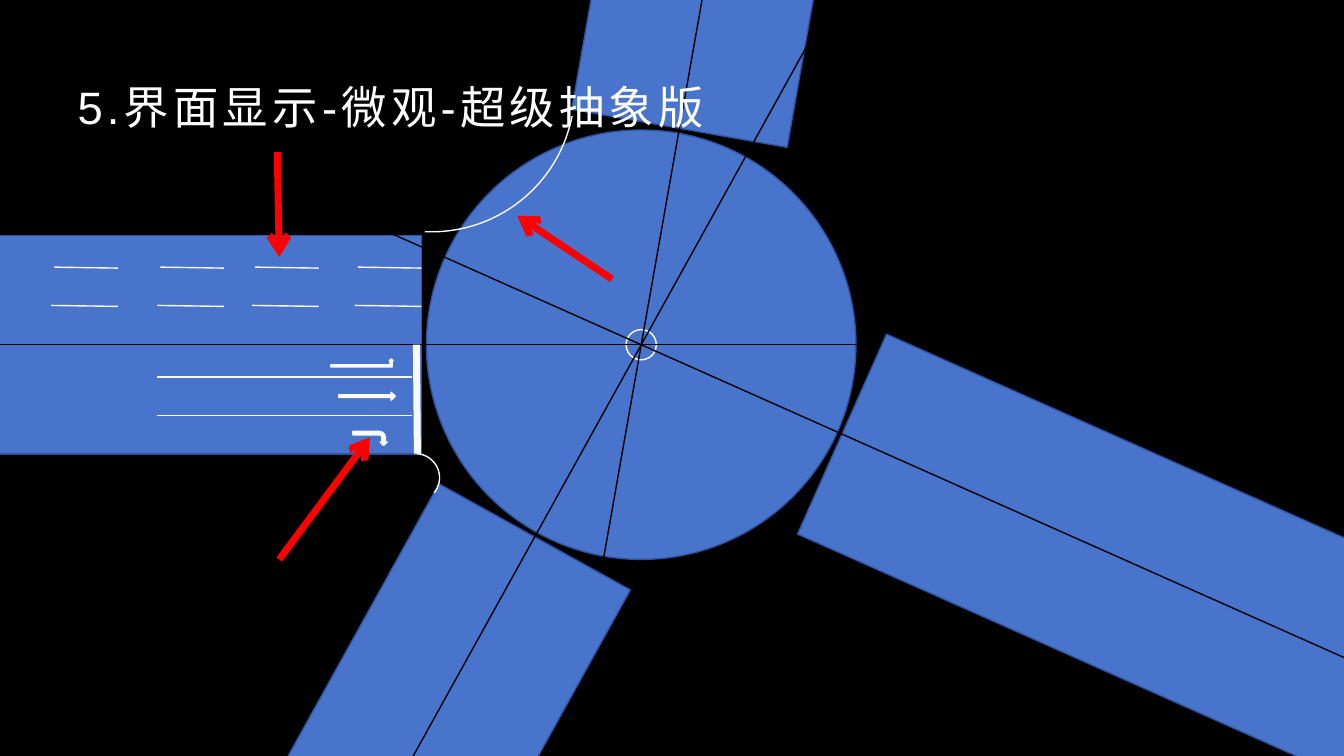
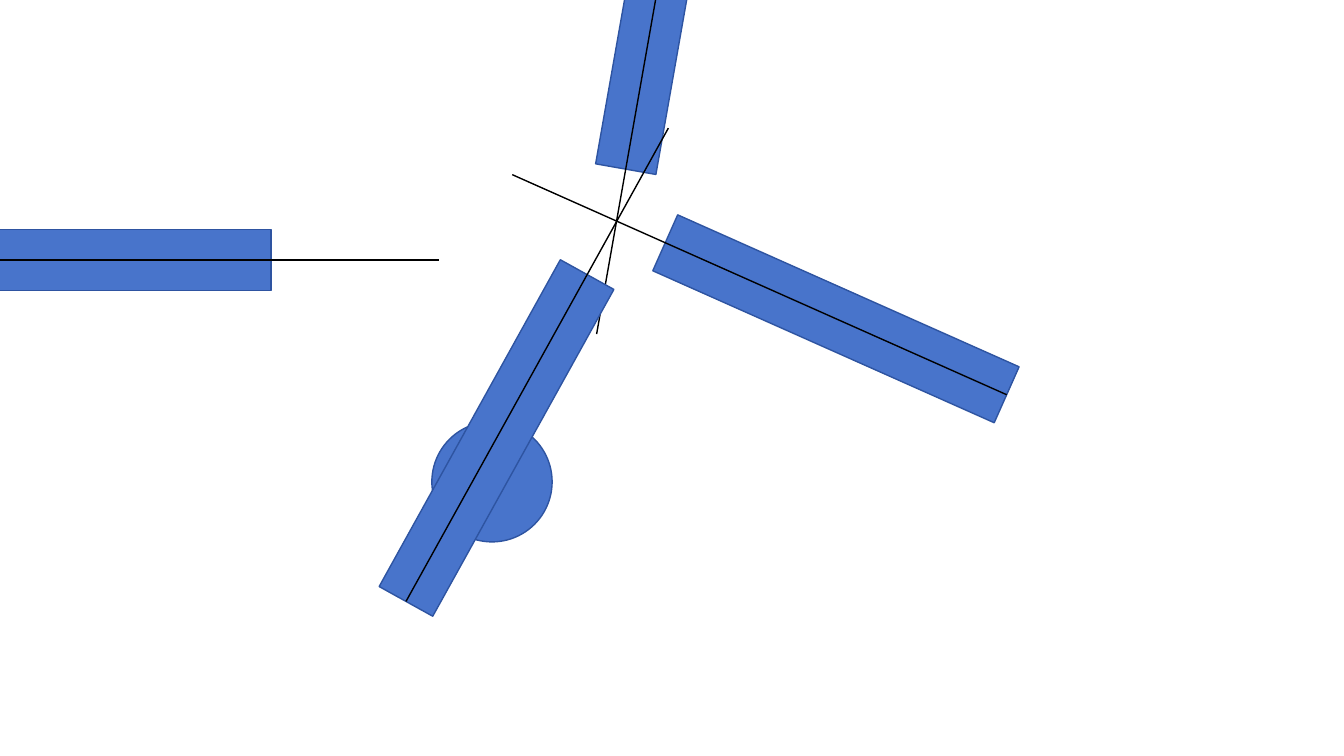
from itertools import product
from math import cos, radians, sin

from pptx import Presentation, util as u
from pptx.dml.color import RGBColor
from pptx.enum import shapes as es, text as et
from pptx.oxml import parse_xml
from pptx.oxml.ns import nsdecls

BLUE, EDGE, BLACK, WHITE = "4874CB", "2E54A1", "000000", "FFFFFF"
PAINT, RED = "FAFAFA", "FF0000"
KIND = es.MSO_SHAPE
hue = RGBColor.from_string


def shape(home, kind, box, edge, fill=None, rot=0, adj=()):
    """Add a preset shape; box is left, top, width, height in inches."""
    item = home.add_shape(kind, *map(u.Inches, box))
    item.shadow.inherit = False
    item.rotation = rot
    for i, value in enumerate(adj):
        item.adjustments[i] = value
    if fill:
        item.fill.solid()
        item.fill.fore_color.rgb = hue(fill)
    else:
        item.fill.background()
    item.line.color.rgb = hue(edge)
    item.line.width = u.Pt(1)
    return item


def line(home, start, end, color=PAINT, width=1, head=False, joint=None):
    """Add a straight line; joint is a rectangle whose left side it starts from."""
    x, y = map(u.Inches, start)
    item = home.add_connector(es.MSO_CONNECTOR.STRAIGHT, x, y, *map(u.Inches, end))
    if joint is not None:
        item.begin_connect(joint, 1)
        # A turned rectangle has its side elsewhere than its frame says.
        item.begin_x, item.begin_y = x, y
    item.line.color.rgb = hue(color)
    item.line.width = u.Pt(width)
    if head:
        tip = parse_xml(f'<a:tailEnd type="arrow" {nsdecls("a")}/>')
        item.line._get_or_add_ln().append(tip)
    item._element.spPr.append(parse_xml(f'<a:effectLst {nsdecls("a")}/>'))


deck = Presentation()
deck.slide_width, deck.slide_height = u.Inches(13.33), u.Inches(7.5)

# Crossing at full scale: a disc with roads at set angles around a hub
ANGLES = 0, 100, 204, 299
DISC, RING = 2.13, 0.15
LONG, WIDE, REACH, PAST = 13.24, 2.17, 8.8, 3.75

mid = (6.36, 3.42)
plans = [
    (5, BLACK, 1, mid, [mid] * 4),
    (6, WHITE, 0.28, (4.88, 4.78), [(3.3, 2.58), (6.1, 2.28), (6.04, 2.16), (6.12, 2.19)]),
]
for layout, back, scale, (cx, cy), hubs in plans:
    slide = deck.slides.add_slide(deck.slide_layouts[layout])
    slide.background.fill.solid()
    slide.background.fill.fore_color.rgb = hue(back)

    group = slide.shapes.add_group_shape().shapes
    for size, edge in (DISC, EDGE), (RING, WHITE):
        r = size * scale
        shape(group, KIND.OVAL, (cx - r, cy - r, 2 * r, 2 * r), edge, BLUE)

    for (hx, hy), angle in zip(hubs, ANGLES):
        if scale < 1:
            group = slide.shapes.add_group_shape().shapes
        dx, dy = scale * cos(radians(angle)), scale * sin(radians(angle))
        w, h = LONG * scale, WIDE * scale
        box = (hx - REACH * dx - w / 2, hy - REACH * dy - h / 2, w, h)
        road = shape(group, KIND.RECTANGLE, box, EDGE, BLUE, angle)
        far = REACH + LONG / 2
        line(group, (hx - far * dx, hy - far * dy),
             (hx + PAST * dx, hy + PAST * dy), BLACK, joint=road)

# Title and road markings of the first slide
slide = deck.slides[0]
home = slide.shapes

for y in (3.74, 4.12):
    line(home, (1.56, y), (4.09, y))
line(home, (4.13, 3.42), (4.14, 4.5), width=5)

shape(home, KIND.BENT_ARROW, (3.6, 4.18, 0.14, 0.34), PAINT, WHITE, 90)
shape(home, KIND.BENT_UP_ARROW, (3.28, 3.56, 0.62, 0.08), PAINT, PAINT)
shape(home, KIND.RIGHT_ARROW, (3.36, 3.89, 0.56, 0.08), PAINT, PAINT, adj=(0.31, 0.5))
shape(home, KIND.ARC, (2.86, -0.54, 2.84, 2.84), PAINT, rot=101, adj=(162, 210.99))
shape(home, KIND.ARC, (3.88, 4.5, 0.48, 0.48), PAINT, rot=12, adj=(156.77, 16.08))

title = home.title
title.left, title.top, title.width, title.height = map(u.Inches, (0.67, 0.67, 6.94, 0.77))
frame = title.text_frame
frame.text = "5.界面显示-微观-超级抽象版"
frame.word_wrap = True
frame.auto_size = et.MSO_AUTO_SIZE.NONE
frame.vertical_anchor = et.MSO_ANCHOR.MIDDLE
para = frame.paragraphs[0]
para.alignment = et.PP_ALIGN.LEFT
font = para.runs[0].font
font.name, font.size = "Arial", u.Pt(32.4)
font.color.rgb = hue(WHITE)
font._element.set("spc", "300")
title._element.getparent().append(title._element)  # above the roads

for x, (y, shift) in product((3.55, 2.53, 1.59, 0.54), ((2.65, 0), (3.03, 0.03))):
    line(home, (x - shift, y), (x + 0.63, y + 0.01))

for start, end in [((2.77, 5.55), (3.67, 4.34)),
                   ((6.07, 2.77), (5.13, 2.14)),
                   ((2.75, 1.51), (2.77, 2.55))]:
    line(home, start, end, RED, 5, head=True)

deck.save("out.pptx")
